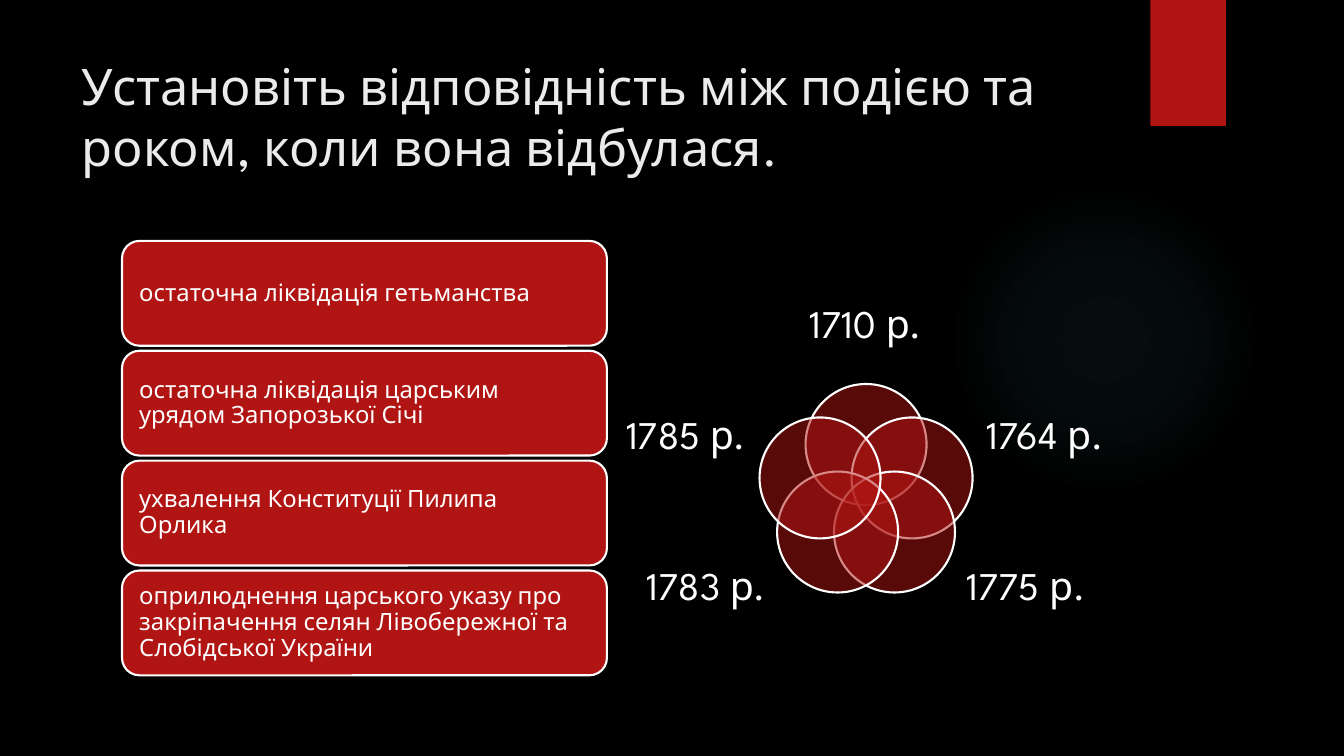
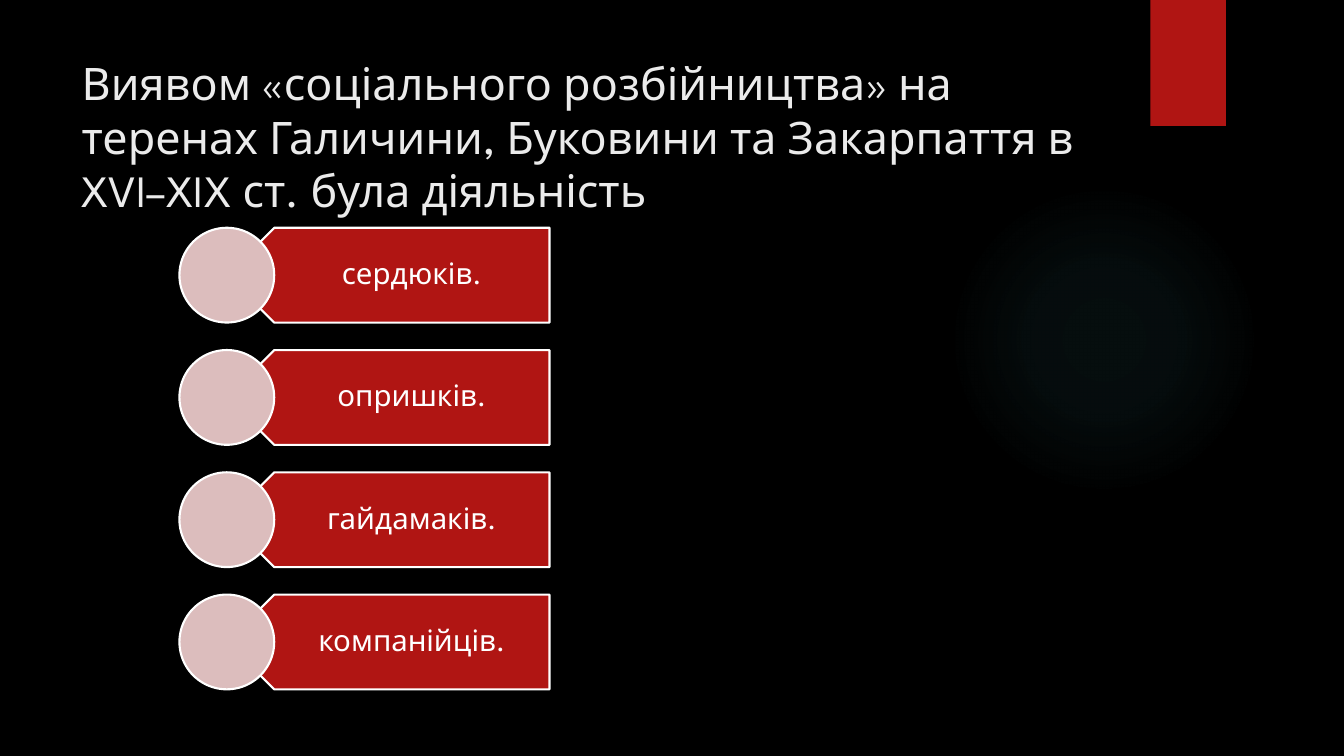
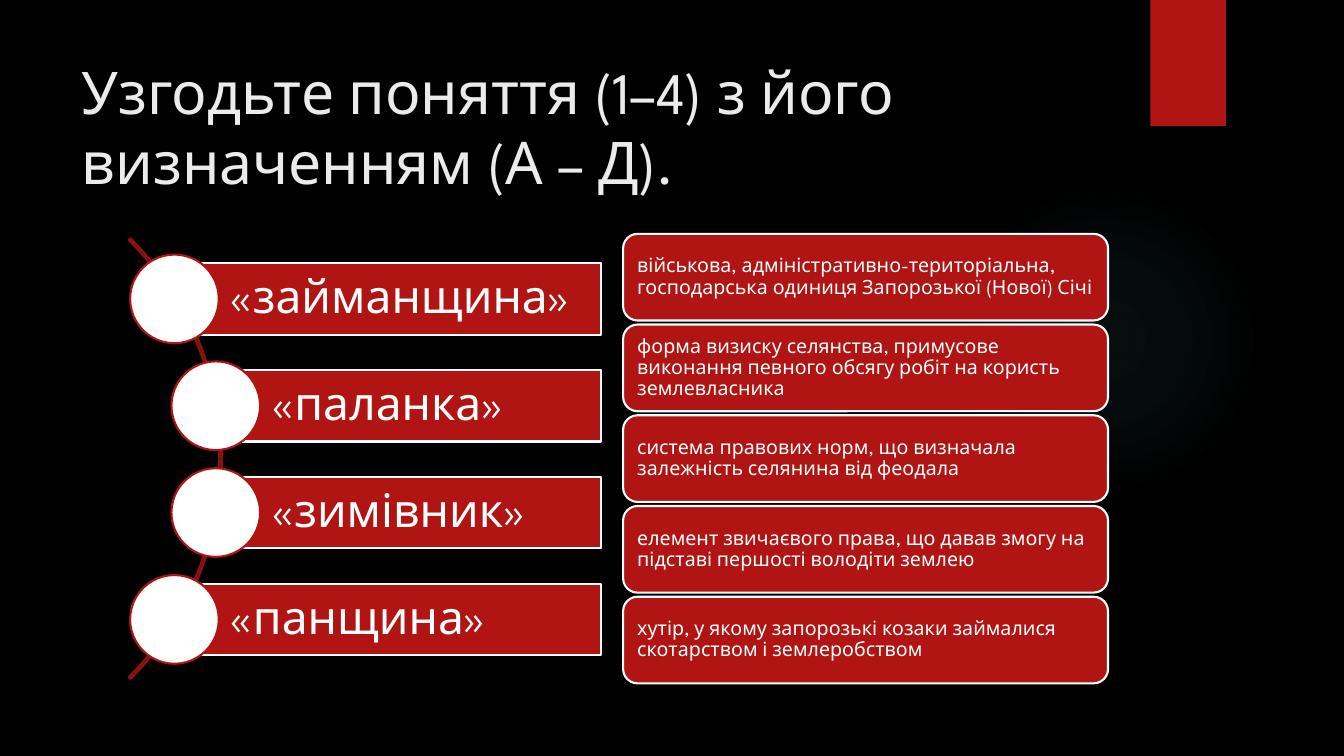
from dataclasses import dataclass
from math import cos, radians, sin

from pptx import Presentation
from pptx.dml.color import RGBColor
from pptx.enum.shapes import MSO_SHAPE
from pptx.enum.text import MSO_ANCHOR, MSO_AUTO_SIZE, PP_ALIGN
from pptx.oxml import parse_xml
from pptx.oxml.ns import nsdecls, qn
from pptx.util import Inches, Pt

LEFT, CENTER = PP_ALIGN.LEFT, PP_ALIGN.CENTER
TOP, MIDDLE = MSO_ANCHOR.TOP, MSO_ANCHOR.MIDDLE
NO_AUTOFIT = MSO_AUTO_SIZE.NONE
OVAL, RECTANGLE = MSO_SHAPE.OVAL, MSO_SHAPE.RECTANGLE
ROUNDED, PENTAGON = MSO_SHAPE.ROUNDED_RECTANGLE, MSO_SHAPE.PENTAGON
BLOCK_ARC = MSO_SHAPE.BLOCK_ARC

COLORS = {
    "background": "000000",
    "title": "EBEBEB",
    "text": "FFFFFF",
    "red": "B01513",
    "dark_red": "8D110F",
    "pink": "DCBDBD",
    "glow": "50B9C1",
}
FONT_NAME = "League Spartan"


@dataclass(frozen=True)
class Box:
    left: float
    top: float
    width: float
    height: float

    def lengths(self) -> list:
        return [Inches(v) for v in (self.left, self.top, self.width, self.height)]


@dataclass(frozen=True)
class TextStyle:
    size: float
    color: str = "text"
    align: PP_ALIGN = LEFT
    anchor: MSO_ANCHOR = MIDDLE
    spacing: float = 0.9
    margins: tuple = (0, 0, 0, 0)


@dataclass(frozen=True)
class YearLabel:
    text: str
    box: Box


@dataclass(frozen=True)
class Term:
    text: str
    indent: float


TITLE_BOX = Box(0.71, 0.5, 10.29, 1.53)

EVENTS = [
    "остаточна ліквідація гетьманства",
    "остаточна ліквідація царським урядом Запорозької Січі",
    "ухвалення Конституції Пилипа Орлика",
    "оприлюднення царського указу про закріпачення селян Лівобережної та "
    "Слобідської України",
]
YEARS = [
    YearLabel("1710 р.", Box(7.89, 2.83, 1.39, 0.81)),
    YearLabel("1764 р.", Box(9.74, 3.89, 1.25, 0.88)),
    YearLabel("1775 р.", Box(9.55, 5.39, 1.25, 0.88)),
    YearLabel("1783 р.", Box(6.38, 5.39, 1.25, 0.88)),
    YearLabel("1785 р.", Box(6.18, 3.89, 1.25, 0.88)),
]
ANSWERS = ["сердюків.", "опришків.", "гайдамаків.", "компанійців."]
TERMS = [
    Term("«займанщина»", 0),
    Term("«паланка»", 0.41),
    Term("«зимівник»", 0.41),
    Term("«панщина»", 0),
]
DEFINITIONS = [
    "військова, адміністративно-територіальна, господарська одиниця "
    "Запорозької (Нової) Січі",
    "форма визиску селянства, примусове виконання певного обсягу робіт на "
    "користь землевласника",
    "система правових норм, що визначала залежність селянина від феодала",
    "елемент звичаєвого права, що давав змогу на підставі першості володіти землею",
    "хутір, у якому запорозькі козаки займалися скотарством і землеробством",
]


def rgb(color: str) -> RGBColor:
    return RGBColor.from_string(COLORS[color])


# Shared drawing functions
def write_text(shape, text: str, style: TextStyle) -> None:
    frame = shape.text_frame
    left, top, right, bottom = (Inches(margin) for margin in style.margins)
    frame_format = {
        "auto_size": NO_AUTOFIT,
        "word_wrap": True,
        "vertical_anchor": style.anchor,
        "margin_left": left,
        "margin_top": top,
        "margin_right": right,
        "margin_bottom": bottom,
    }
    for name, value in frame_format.items():
        setattr(frame, name, value)
    frame.text = text
    paragraph = frame.paragraphs[0]
    paragraph.alignment = style.align
    paragraph.line_spacing = style.spacing
    font = paragraph.runs[0].font
    for name, value in {"name": FONT_NAME, "size": Pt(style.size)}.items():
        setattr(font, name, value)
    font.color.rgb = rgb(style.color)


def add_text(slide, box: Box, text: str, style: TextStyle) -> None:
    write_text(slide.shapes.add_textbox(*box.lengths()), text, style)


def add_shape(slide, kind, box: Box, fill: str | None = "red",
              line: str | None = "text", opacity: int = 100):
    shape = slide.shapes.add_shape(kind, *box.lengths())
    shape.shadow.inherit = False
    if fill:
        shape.fill.solid()
        shape.fill.fore_color.rgb = rgb(fill)
        if opacity < 100:
            color = shape.fill._xPr.find(qn("a:solidFill"))[0]
            color.append(parse_xml(
                f'<a:alpha {nsdecls("a")} val="{opacity * 1000}"/>'))
    else:
        shape.fill.background()
    if line:
        shape.line.color.rgb = rgb(line)
        shape.line.width = Pt(1.5)
    else:
        shape.line.fill.background()
    return shape


def add_cards(slide, texts: list[str], first: Box, step: float,
              style: TextStyle) -> None:
    for index, text in enumerate(texts):
        box = Box(first.left, first.top + index * step, first.width, first.height)
        write_text(add_shape(slide, ROUNDED, box), text, style)


def add_title_slide(presentation, title: str, size: float):
    layout = presentation.slide_layouts.get_by_name("Title Only")
    slide = presentation.slides.add_slide(layout)
    shape = slide.shapes.title
    shape.left, shape.top, shape.width, shape.height = TITLE_BOX.lengths()
    write_text(shape, title, TextStyle(
        size, "title", anchor=TOP, spacing=1.0, margins=(0.1, 0.05, 0.1, 0.05)))
    return slide


def decorate_master(presentation, slide) -> None:
    """Draw the glow and the bookmark, then move them to the master."""
    master = presentation.slide_master
    master.background.fill.solid()
    master.background.fill.fore_color.rgb = rgb("background")

    glow = add_shape(slide, OVAL, Box(9.41, 1.83, 3.08, 3.08), None, None)
    stops = "".join(
        f'<a:gs pos="{position * 1000}"><a:srgbClr val="{COLORS["glow"]}">'
        f'<a:alpha val="{alpha * 1000}"/></a:srgbClr></a:gs>'
        for position, alpha in ((0, 7), (36, 6), (69, 0)))
    gradient = parse_xml(
        f'<a:gradFill {nsdecls("a")}><a:gsLst>{stops}</a:gsLst>'
        '<a:path path="circle"><a:fillToRect l="50000" t="50000" r="50000" '
        'b="50000"/></a:path></a:gradFill>')
    properties = glow._element.spPr
    properties.replace(properties.find(qn("a:noFill")), gradient)

    bookmark = add_shape(slide, RECTANGLE, Box(11.41, 0, 0.75, 1.25), line=None)
    bookmark._element.spPr.find(qn("a:effectLst")).append(parse_xml(
        f'<a:outerShdw {nsdecls("a")} blurRad="{Pt(3)}" dist="{Pt(2)}" '
        f'dir="5400000"><a:srgbClr val="{COLORS["background"]}">'
        '<a:alpha val="45000"/></a:srgbClr></a:outerShdw>'))

    for offset, shape in enumerate((glow, bookmark)):
        shape._element.nvSpPr.cNvPr.set("id", str(101 + offset))
        master.shapes._spTree.insert(2 + offset, shape._element)


# Slides
def fill_events_slide(slide) -> None:
    add_cards(slide, EVENTS, Box(1.21, 2.39, 4.81, 1.04), 1.09,
              TextStyle(17, margins=(0.12,) * 4))
    center_x, center_y, orbit, diameter = 8.59, 4.89, 0.48, 1.2
    for index, year in enumerate(YEARS):
        angle = radians(index * 360 / len(YEARS))
        left = center_x + orbit * sin(angle) - diameter / 2
        top = center_y - orbit * cos(angle) - diameter / 2
        add_shape(slide, OVAL, Box(left, top, diameter, diameter), opacity=50)
        add_text(slide, year.box, year.text, TextStyle(28, align=CENTER))


def fill_answers_slide(slide) -> None:
    style = TextStyle(21, align=CENTER, margins=(0.41, 0.09, 0.16, 0.09))
    height, step = 0.94, 1.213
    for index, answer in enumerate(ANSWERS):
        top = 2.26 + index * step
        banner = add_shape(slide, PENTAGON, Box(2.25, top, 3.2, height))
        banner.rotation = 180
        add_text(slide, Box(2.48, top, 2.96, height), answer, style)
        add_shape(slide, OVAL, Box(1.78, top, height, height), "pink")


def fill_terms_slide(slide) -> None:
    arc = add_shape(slide, BLOCK_ARC, Box(-3.98, 1.46, 6.18, 6.18),
                    None, "dark_red")
    for index, value in enumerate((189, 27, 0.004)):
        arc.adjustments[index] = value

    style = TextStyle(33, margins=(0.56, 0.09, 0.09, 0.09))
    right, height, diameter, step = 5.96, 0.71, 0.88, 1.06
    for index, term in enumerate(TERMS):
        left, top = 1.73 + term.indent, 2.61 + index * step
        bar = add_shape(slide, RECTANGLE, Box(left, top, right - left, height))
        write_text(bar, term.text, style)
        add_shape(slide, OVAL,
                  Box(left - diameter / 2, top + (height - diameter) / 2,
                      diameter, diameter), "text", "red")

    add_cards(slide, DEFINITIONS, Box(6.18, 2.32, 4.81, 0.86), 0.9,
              TextStyle(14, margins=(0.1,) * 4))


def main() -> None:
    presentation = Presentation()
    presentation.slide_width = Inches(13.33)
    presentation.slide_height = Inches(7.5)

    events = add_title_slide(
        presentation,
        "Установіть відповідність між подією та роком, коли вона відбулася.", 36)
    decorate_master(presentation, events)
    fill_events_slide(events)

    fill_answers_slide(add_title_slide(
        presentation,
        "Виявом «соціального розбійництва» на теренах Галичини, Буковини та "
        "Закарпаття в XVI–XIX ст. була діяльність", 32))
    fill_terms_slide(add_title_slide(
        presentation, "Узгодьте поняття (1–4) з його визначенням (А – Д).", 42))

    presentation.save("out.pptx")


if __name__ == "__main__":
    main()
